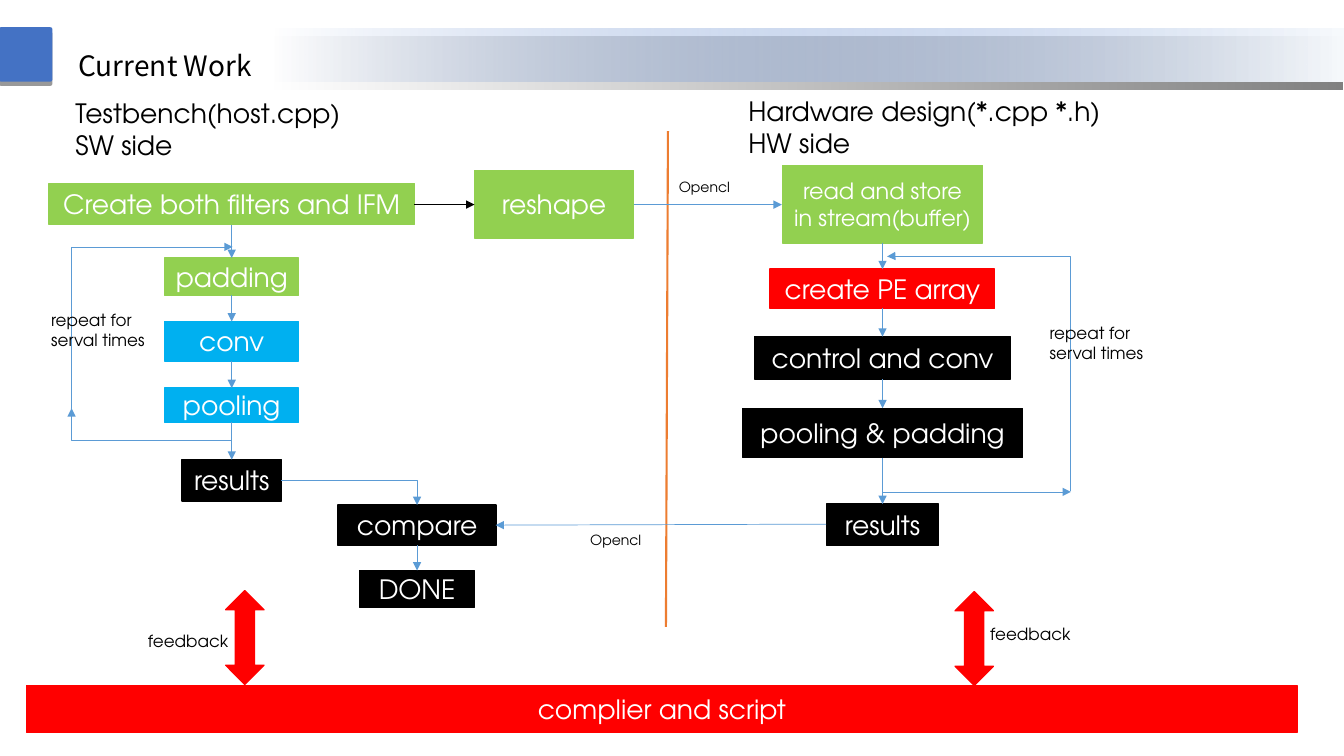
"""Build the "Current Work" slide: software and hardware flows side by side."""
from lxml import etree
from pptx import Presentation, util as u
from pptx.dml.color import RGBColor
from pptx.enum import shapes, text
from pptx.oxml import ns

COLORS = {"black": "000000", "white": "FFFFFF", "green": "92D050", "red": "FF0000",
          "cyan": "00B0F0", "blue": "4472C4", "pale": "F7FAFD", "line": "5B9BD5",
          "divider": "ED7D31"}
FONT = "TeX Gyre Adventor"
TITLE_FONT = "Noto Sans CJK SC"

deck = Presentation()
deck.slide_width, deck.slide_height = u.Inches(13.34), u.Inches(7.5)
page = deck.slides.add_slide(deck.slide_layouts[6])


def write(shape, lines, size, color, font=FONT, align=text.PP_ALIGN.LEFT):
    for index, line in enumerate(lines):
        frame = shape.text_frame
        para = frame.paragraphs[0] if index == 0 else frame.add_paragraph()
        para.alignment = align
        span = para.add_run()
        span.text = line
        span.font.size = u.Pt(size)
        span.font.name = font
        span.font.color.rgb = RGBColor.from_string(COLORS[color])


def connect(kind, start, end, color="line", width=0.5, arrow=True):
    link = page.shapes.add_connector(kind, *(u.Inches(v) for v in (*start, *end)))
    link.line.color.rgb = RGBColor.from_string(COLORS[color])
    link.line.width = u.Pt(width)
    if arrow:
        etree.SubElement(link.line._get_or_add_ln(), ns.qn("a:tailEnd"), type="triangle")
    etree.SubElement(link._element.spPr, ns.qn("a:effectLst"))
    return link


banner = page.shapes.add_shape(shapes.MSO_SHAPE.RECTANGLE, u.Inches(2.68), u.Inches(0.28),
                               u.Inches(10.66), u.Inches(0.53))
banner.fill.gradient()
banner.fill.gradient_angle = 180
for stop, color in zip(banner.fill.gradient_stops, ("pale", "blue")):
    stop.color.rgb = RGBColor.from_string(COLORS[color])
clear_stop = banner._element.spPr.findall(".//" + ns.qn("a:gs"))[1][0]
etree.SubElement(clear_stop, ns.qn("a:alpha"), val="0")

marker = page.shapes.add_shape(shapes.MSO_SHAPE.ROUNDED_RECTANGLE, u.Inches(-0.01),
                               u.Inches(0.27), u.Inches(0.53), u.Inches(0.54))
marker.adjustments[0] = 0.04
marker.fill.solid()
marker.fill.fore_color.rgb = RGBColor.from_string(COLORS["blue"])

for shape, opacity, distance, angle in ((banner, 50, 6, 97), (marker, 40, 3, 90)):
    shape.line.fill.background()
    shape.shadow.inherit = False
    effects = shape._element.spPr.find(ns.qn("a:effectLst"))
    shadow = etree.SubElement(effects, ns.qn("a:outerShdw"), blurRad="0",
                              dist=str(u.Pt(distance)), dir=str(angle * 60000),
                              algn="ctr", rotWithShape="0")
    tint = etree.SubElement(shadow, ns.qn("a:srgbClr"), val=COLORS["black"])
    etree.SubElement(tint, ns.qn("a:alpha"), val=str(opacity * 1000))

title = page.shapes.add_textbox(u.Inches(0.68), u.Inches(0.27), u.Inches(1.97), u.Inches(0.6))
title.text_frame.word_wrap = False
write(title, ["Current Work"], 20, "black", TITLE_FONT)
title.text_frame.paragraphs[0].line_spacing = 1.5

connect(shapes.MSO_CONNECTOR.STRAIGHT, (6.63, 1.3), (6.61, 6.22), "divider", 1.5, False)

# centre: (label, top, width, height, colour, size)
columns = {
    2.3: [("Create both filters and IFM", 1.82, 3.63, 0.41, "green", 19),
          ("padding", 2.56, 1.33, 0.37, "green", 19),
          ("conv", 3.19, 1.33, 0.39, "cyan", 19),
          ("pooling", 3.85, 1.33, 0.34, "cyan", 19),
          ("results", 4.56, 0.99, 0.41, "black", 19)],
    5.5: [("reshape", 1.69, 1.58, 0.67, "green", 19)],
    8.76: [("read and store in stream(buffer)", 1.64, 1.99, 0.77, "green", 16),
           ("create PE array", 2.67, 2.23, 0.39, "red", 19),
           ("control and conv", 3.34, 2.54, 0.42, "black", 19),
           ("pooling & padding", 4.05, 2.78, 0.49, "black", 19),
           ("results", 5, 1.11, 0.41, "black", 19)],
    4.14: [("compare", 5.01, 1.57, 0.4, "black", 19),
           ("DONE", 5.66, 1.14, 0.37, "black", 19)],
    6.57: [("complier and script", 6.8, 12.61, 0.47, "red", 19)],
}
blocks = []
for center, steps in columns.items():
    for label, top, width, height, color, size in steps:
        box = page.shapes.add_shape(shapes.MSO_SHAPE.RECTANGLE, u.Inches(center - width / 2),
                                    u.Inches(top), u.Inches(width), u.Inches(height))
        box.text_frame.word_wrap = True
        box.text_frame.vertical_anchor = text.MSO_ANCHOR.MIDDLE
        write(box, [label], size, "white", align=text.PP_ALIGN.CENTER)
        blocks.append((box, color))
    for upper, lower in zip(steps, steps[1:]):
        connect(shapes.MSO_CONNECTOR.STRAIGHT, (center, upper[1] + upper[3]), (center, lower[1]))

for left, top in ((2.24, 5.86), (9.48, 5.87)):
    arrow = page.shapes.add_shape(shapes.MSO_SHAPE.UP_DOWN_ARROW, u.Inches(left), u.Inches(top),
                                  u.Inches(0.38), u.Inches(0.93))
    blocks.append((arrow, "red"))

for block, color in blocks:
    block.shadow.inherit = False
    block.fill.solid()
    block.fill.fore_color.rgb = RGBColor.from_string(COLORS[color])
    block.line.color.rgb = RGBColor.from_string(COLORS[color])
    block.line.width = u.Pt(1)

for start, end, color in (((4.11, 2.03), (4.71, 2.03), "black"),
                          ((6.29, 2.03), (7.76, 2.03), "line"),
                          ((8.2, 5.2), (4.92, 5.21), "line"),
                          ((8.76, 4.88), (10.63, 4.88), "line")):
    connect(shapes.MSO_CONNECTOR.STRAIGHT, start, end, color)

for start, end, rotation, bend in (((0.71, 4.05), (2.29, 4.37), 180, None),
                                   ((0.7, 4.05), (2.31, 2.45), 0, 0.4),
                                   ((8.55, 4.62), (10.88, 2.8), 270, 100.2),
                                   ((2.79, 4.77), (4.14, 5.01), 0, None)):
    elbow = connect(shapes.MSO_CONNECTOR.ELBOW, start, end)
    properties = elbow._element.spPr
    properties.find(ns.qn("a:xfrm")).set("rot", str(rotation * 60000))
    geometry = properties.find(ns.qn("a:prstGeom"))
    if bend is None:
        geometry.set("prst", "bentConnector2")
    else:
        etree.SubElement(geometry.find(ns.qn("a:avLst")), ns.qn("a:gd"), name="adj1",
                         fmla=f"val {round(bend * 1000)}")

for lines, left, top, width, height, size in (
        (["Testbench(host.cpp)", "SW side"], 0.65, 0.91, 3.29, 0.74, 19),
        (["Hardware design(*.cpp *.h)", "HW side"], 7.33, 0.89, 4.46, 0.74, 19),
        (["repeat for serval times"], 0.41, 3.02, 1.13, 0.7, 12),
        (["repeat for serval times"], 10.32, 3.15, 1.13, 0.7, 12),
        (["Opencl"], 6.64, 1.72, 0.86, 0.27, 10),
        (["Opencl"], 5.76, 5.22, 0.86, 0.27, 10),
        (["feedback"], 1.37, 6.21, 1.02, 0.3, 12),
        (["feedback"], 9.73, 6.14, 1.02, 0.3, 12)):
    note = page.shapes.add_textbox(u.Inches(left), u.Inches(top), u.Inches(width),
                                   u.Inches(height))
    note.text_frame.word_wrap = True
    write(note, lines, size, "black")

deck.save("out.pptx")
